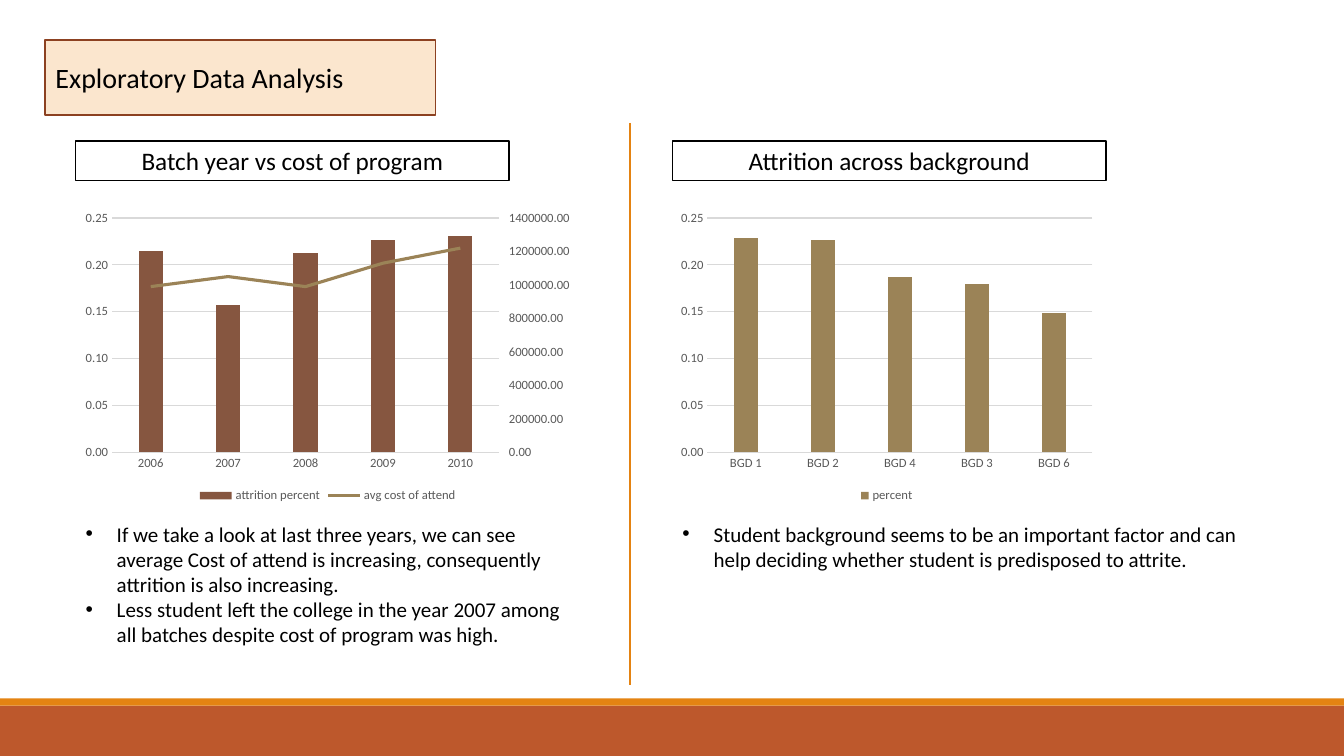
from pptx import Presentation
from pptx import util as u
from pptx.chart import axis as chart_axis, data as chart_data
from pptx.dml.color import RGBColor
from pptx.enum import chart as ch, shapes, text
from pptx.oxml import parse_xml
from pptx.oxml.ns import nsdecls

PX = 9144  # 100 px to the inch
FONT = "Calibri"
BLACK = RGBColor(0, 0, 0)
WHITE = RGBColor(255, 255, 255)
GREY = RGBColor(0x59, 0x59, 0x59)
GRID = RGBColor(0xD9, 0xD9, 0xD9)
ORANGE = RGBColor(0xE4, 0x83, 0x12)
RUST = RGBColor(0xBD, 0x58, 0x2C)
CREAM = RGBColor(0xFB, 0xE6, 0xCE)
MAROON = RGBColor(0x8C, 0x41, 0x21)
BROWN = RGBColor(0x86, 0x56, 0x40)
TAN = RGBColor(0x9B, 0x83, 0x57)

LEFT, RIGHT = 75, 667  # left edges of the two columns
HEADING_TOP, CHART_TOP, NOTES_TOP = 140, 203, 512
BULLET_INDENT = 31


def px(*lengths):
    return [u.Emu(length * PX) for length in lengths]


def set_font(font, size, color):
    font.name, font.size = FONT, u.Pt(size)
    font.color.rgb = color


def paint(box, fill, line=None):
    box.fill.solid()
    box.fill.fore_color.rgb = fill
    if line is None:
        box.line.fill.background()
    else:
        box.line.color.rgb = line
        box.line.width = u.Pt(1.25)


def write(box, *lines, size, align=text.PP_ALIGN.LEFT,
          anchor=text.MSO_ANCHOR.MIDDLE, bullet=False):
    frame = box.text_frame
    frame.word_wrap = True
    frame.vertical_anchor = anchor
    for number, line in enumerate(lines):
        para = frame.add_paragraph() if number else frame.paragraphs[0]
        para.alignment = align
        span = para.add_run()
        span.text = line
        set_font(span.font, size, BLACK)
        if bullet:
            add_bullet(para)


def add_bullet(para):
    props = para._p.get_or_add_pPr()
    props.set("marL", str(BULLET_INDENT * PX))
    props.set("indent", str(-BULLET_INDENT * PX))
    props.append(parse_xml(f'<a:buFont {nsdecls("a")} typeface="Arial"/>'))
    props.append(parse_xml(f'<a:buChar {nsdecls("a")} char="•"/>'))


def add_box(page, place, fill, line=None):
    box = page.shapes.add_shape(shapes.MSO_SHAPE.RECTANGLE, *px(*place))
    box.shadow.inherit = False
    paint(box, fill, line)
    return box


def add_heading(page, left, words):
    box = add_box(page, (left, HEADING_TOP, 430, 39), WHITE, BLACK)
    write(box, words, size=18, align=text.PP_ALIGN.CENTER)


def add_notes(page, left, width, height, *lines):
    box = page.shapes.add_textbox(*px(left, NOTES_TOP, width, height))
    write(box, *lines, size=15, anchor=text.MSO_ANCHOR.TOP, bullet=True)
    box.text_frame.auto_size = text.MSO_AUTO_SIZE.SHAPE_TO_FIT_TEXT


def add_divider(page):
    line = page.shapes.add_connector(
        shapes.MSO_CONNECTOR.STRAIGHT, *px(625, 122, 625, 680))
    line.line.color.rgb = ORANGE
    line.line.width = u.Pt(1)
    line._element.spPr.append(parse_xml(f'<a:effectLst {nsdecls("a")}/>'))


def style_axis(axis, tick=ch.XL_TICK_MARK.NONE):
    axis.major_tick_mark = tick
    axis.minor_tick_mark = ch.XL_TICK_MARK.NONE
    set_font(axis.tick_labels.font, 9, GREY)


def style_value_axis(axis, top, step, **ticks):
    style_axis(axis, **ticks)
    axis.minimum_scale, axis.maximum_scale, axis.major_unit = 0, top, step
    axis.tick_labels.number_format = "0.00"
    axis.tick_labels.number_format_is_linked = False
    axis.format.line.fill.background()


def add_column_chart(page, left, width, categories, series, color, overlap=0):
    data = chart_data.CategoryChartData()
    data.categories = categories
    for name, values in series.items():
        data.add_series(name, values)
    chart = page.shapes.add_chart(
        ch.XL_CHART_TYPE.COLUMN_CLUSTERED, *px(left, CHART_TOP, width, 300), data).chart
    set_font(chart.font, 10, BLACK)
    chart.has_title = False
    chart.has_legend = True
    chart.legend.position = ch.XL_LEGEND_POSITION.BOTTOM
    chart.legend.include_in_layout = False
    set_font(chart.legend.font, 9, GREY)
    style_axis(chart.category_axis)
    style_value_axis(chart.value_axis, 0.25, 0.05)
    for line in (chart.category_axis.format.line,
                 chart.value_axis.major_gridlines.format.line):
        line.color.rgb = GRID
        line.width = u.Pt(0.75)
    columns = chart.plots[0]
    columns.vary_by_categories = False
    columns.gap_width, columns.overlap = 219, overlap
    columns.series[0].format.fill.solid()
    columns.series[0].format.fill.fore_color.rgb = color
    return chart


def move_last_series_to_line(chart, color, top, step):
    """Turn the last column series into a line on a right-hand axis."""
    plot_area = chart._chartSpace.chart.plotArea
    columns = plot_area.xpath("c:barChart")[0]
    series = columns.xpath("c:ser")[-1]
    for flag in series.xpath("c:invertIfNegative"):
        series.remove(flag)
    lines = parse_xml(
        f'<c:lineChart {nsdecls("c")}><c:grouping val="standard"/>'
        '<c:varyColors val="0"/><c:marker val="1"/>'
        '<c:axId val="501"/><c:axId val="502"/></c:lineChart>')
    lines.insert(2, series)
    columns.addnext(lines)
    hidden = parse_xml(
        f'<c:catAx {nsdecls("c")}><c:axId val="501"/><c:scaling>'
        '<c:orientation val="minMax"/></c:scaling><c:delete val="1"/>'
        '<c:axPos val="b"/><c:crossAx val="502"/></c:catAx>')
    right = parse_xml(
        f'<c:valAx {nsdecls("c")}><c:axId val="502"/><c:scaling>'
        '<c:orientation val="minMax"/></c:scaling><c:delete val="0"/>'
        '<c:axPos val="r"/><c:tickLblPos val="nextTo"/><c:crossAx val="501"/>'
        '<c:crosses val="max"/></c:valAx>')
    left = plot_area.xpath("c:valAx")[0]
    left.addnext(right)
    right.addnext(hidden)
    style_value_axis(chart_axis.ValueAxis(right), top, step,
                     tick=ch.XL_TICK_MARK.OUTSIDE)
    cost = chart.plots[1].series[0]
    cost.smooth = False
    cost.marker.style = ch.XL_MARKER_STYLE.NONE
    cost.format.line.color.rgb = color
    cost.format.line.width = u.Pt(2.25)


def main():
    deck = Presentation()
    deck.slide_width, deck.slide_height = px(1333, 750)
    page = deck.slides.add_slide(deck.slide_layouts[5])

    add_box(page, (0, 700, 1333, 50), RUST)
    add_box(page, (0, 693, 1333, 7), ORANGE)

    title = page.shapes.title
    title.left, title.top, title.width, title.height = px(45, 40, 387, 74)
    paint(title, CREAM, MAROON)
    write(title, "Exploratory Data Analysis", size=20)

    batches = add_column_chart(
        page, LEFT, 500, ["2006", "2007", "2008", "2009", "2010"],
        {"attrition percent": [0.215, 0.157, 0.213, 0.227, 0.231],
         "avg cost of attend": [990000, 1050000, 990000, 1130000, 1220000]},
        BROWN)
    move_last_series_to_line(batches, TAN, 1400000, 200000)
    add_column_chart(
        page, RIGHT, 425, ["BGD 1", "BGD 2", "BGD 4", "BGD 3", "BGD 6"],
        {"percent": [0.229, 0.226, 0.187, 0.18, 0.149]}, TAN, overlap=-27)

    add_divider(page)
    add_notes(
        page, LEFT, 504, 136,
        "If we take a look at last three years, we can see average Cost of attend "
        "is increasing, consequently attrition is also increasing.",
        "Less student left the college in the year 2007 among all batches despite "
        "cost of program was high.")
    add_notes(
        page, RIGHT, 596, 61,
        "Student background seems to be an important factor and can help deciding "
        "whether student is predisposed to attrite.")
    add_heading(page, LEFT, "Batch year vs cost of program")
    add_heading(page, RIGHT, "Attrition across background")
    deck.save("out.pptx")


if __name__ == "__main__":
    main()
